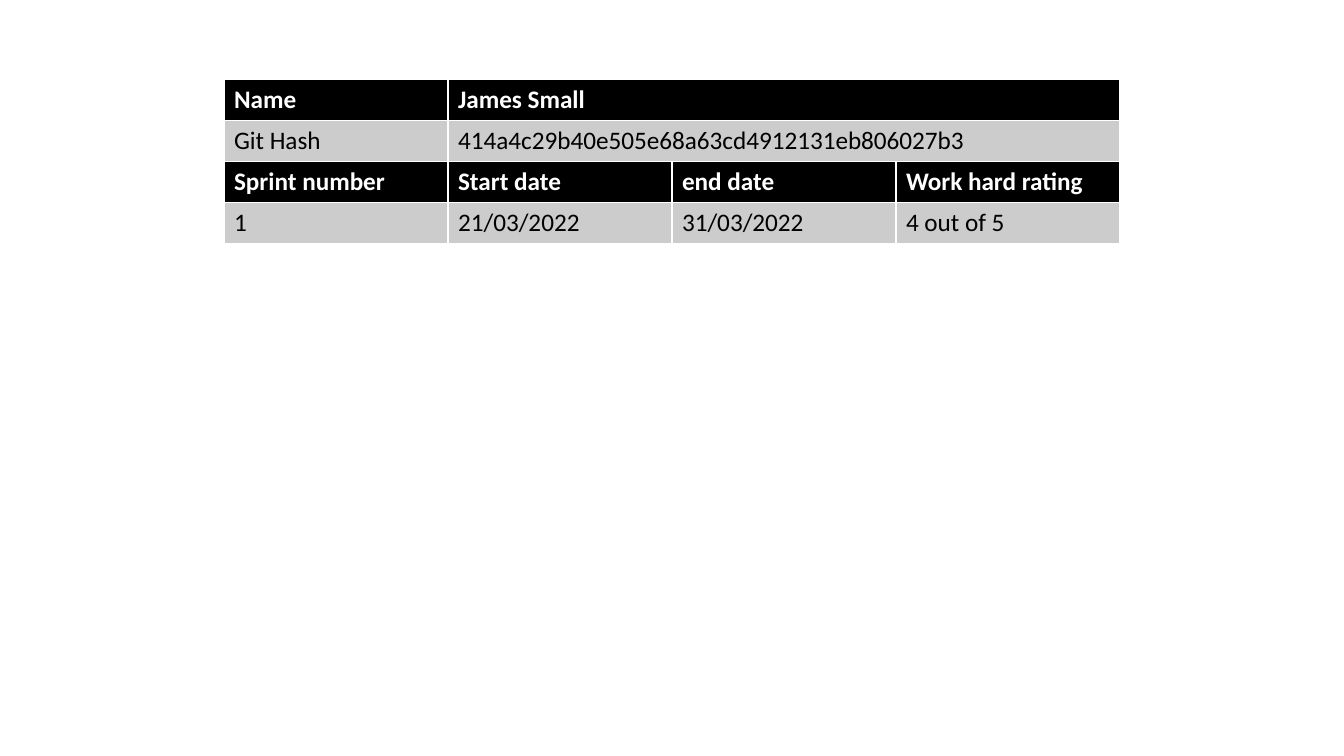
from pptx import Presentation
from pptx.dml.color import RGBColor
from pptx.util import Pt

PX = 6350
BLACK = RGBColor(0x00, 0x00, 0x00)
WHITE = RGBColor(0xFF, 0xFF, 0xFF)
GREY = RGBColor(0xCC, 0xCC, 0xCC)
FONT = "Calibri"
WIDE, HIGH = 1920, 1080
LEFT, TOP, SPAN = 320, 114, 1280
COL, ROW, STEP = 320, 58, 117

OWNER = [
    ["Name", "James Small"],
    ["Git Hash", "414a4c29b40e505e68a63cd4912131eb806027b3"],
]
SPRINT = [
    ["Sprint number", "Start date", "end date", "Work hard rating"],
    ["1", "21/03/2022", "31/03/2022", "4 out of 5"],
]


def fill_cell(cell, text, head):
    """Write one cell in the header or body look."""
    cell.fill.solid()
    cell.fill.fore_color.rgb = BLACK if head else GREY
    run = cell.text_frame.paragraphs[0].add_run()
    run.text = text
    run.font.name = FONT
    run.font.size = Pt(18)
    run.font.bold = head
    run.font.color.rgb = WHITE if head else BLACK


def add_grid(slide, rows, left, top, width):
    """Add a table whose last column takes the width left over."""
    count = len(rows[0])
    frame = slide.shapes.add_table(len(rows), count, left * PX, top * PX,
                                   width * PX, len(rows) * ROW * PX)
    table = frame.table
    table.horz_banding = False
    for col in table.columns:
        col.width = COL * PX
    table.columns[count - 1].width = (width - COL * (count - 1)) * PX
    for i, row in enumerate(rows):
        table.rows[i].height = ROW * PX
        for j, text in enumerate(row):
            fill_cell(table.cell(i, j), text, i == 0)


def main():
    """Build the slide and save it."""
    deck = Presentation()
    deck.slide_width = WIDE * PX
    deck.slide_height = HIGH * PX
    slide = deck.slides.add_slide(deck.slide_layouts[6])
    for i, rows in enumerate([OWNER, SPRINT]):
        add_grid(slide, rows, LEFT, TOP + i * STEP, SPAN)
    deck.save("out.pptx")


if __name__ == "__main__":
    main()
